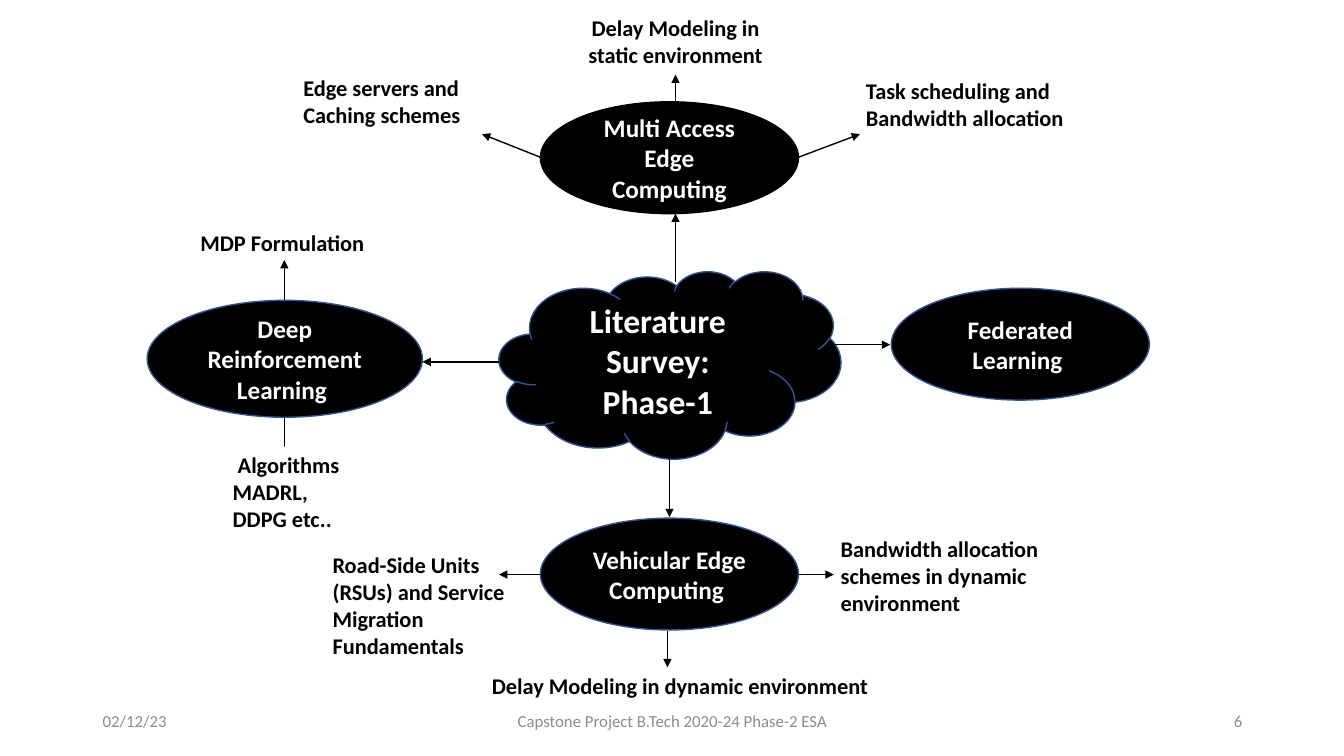
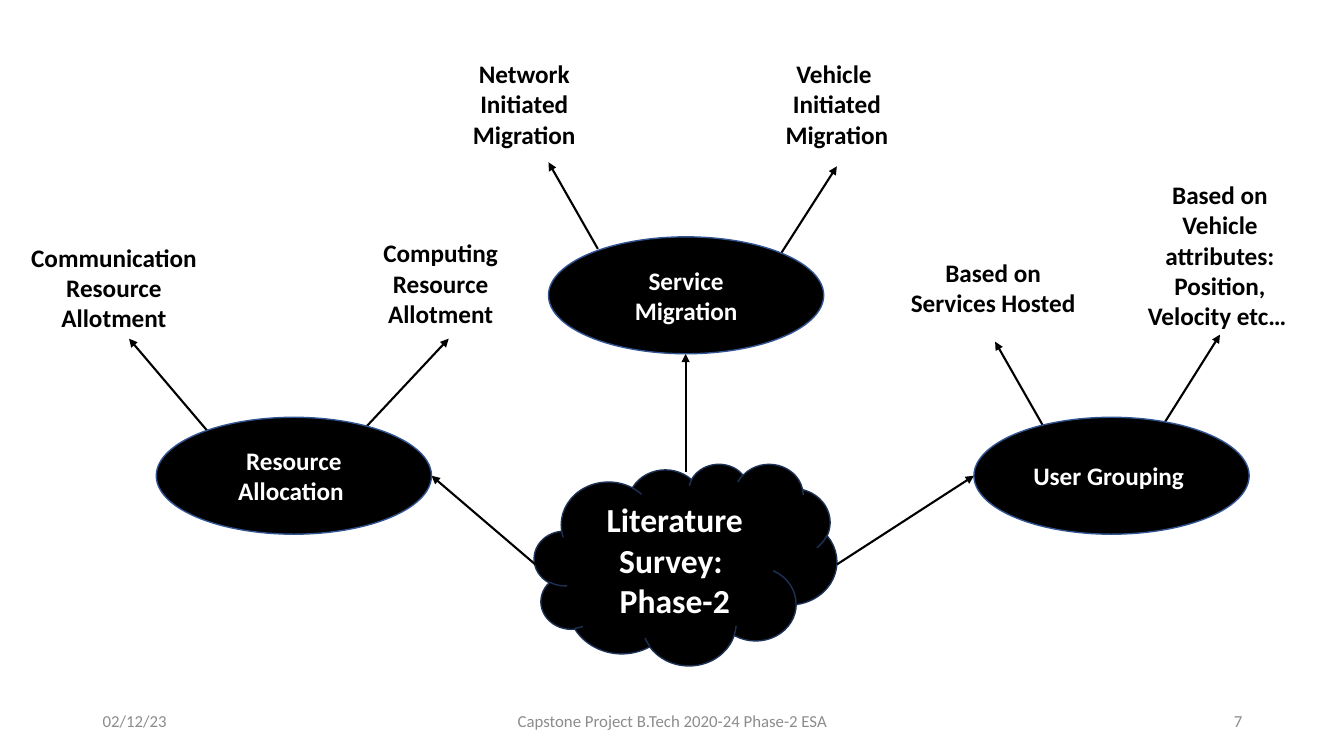
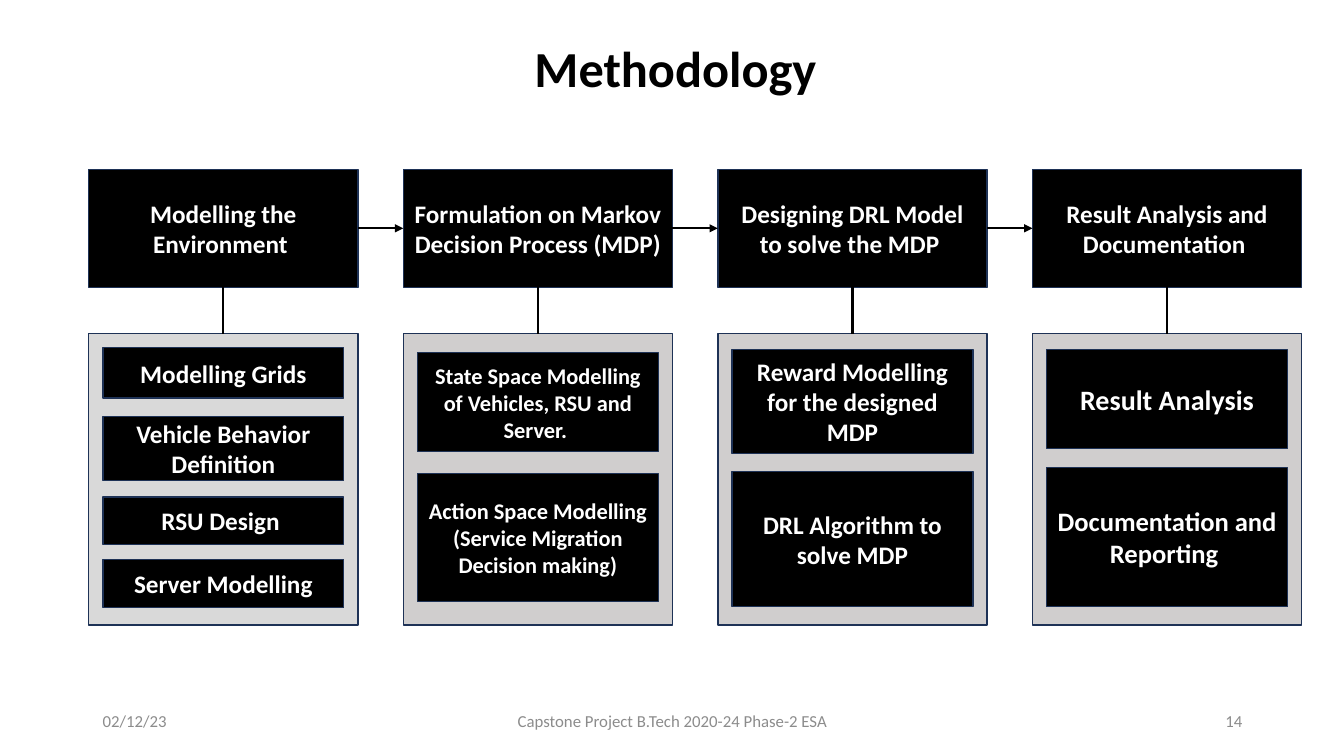
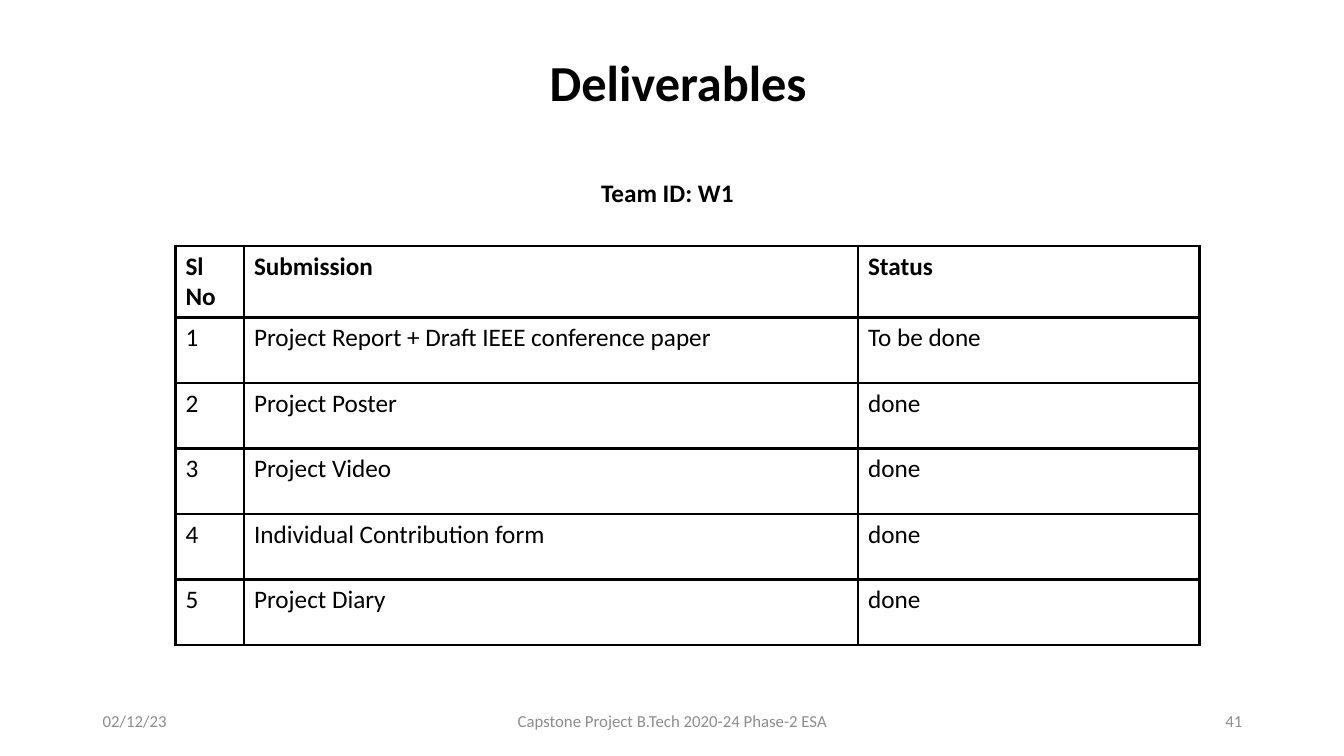
from pptx import Presentation
from pptx.dml.color import RGBColor
from pptx.enum.shapes import MSO_CONNECTOR, MSO_SHAPE
from pptx.enum.text import MSO_ANCHOR, MSO_AUTO_SIZE, PP_ALIGN
from pptx.oxml.ns import qn
from pptx.util import Inches, Pt
from lxml.etree import SubElement

FONT = "Calibri"
BLACK, WHITE, GREY = "000000", "FFFFFF", "8C8C8C"
BLUE, NAVY = "325491", "1E3256"
LEFT, CENTER, RIGHT = PP_ALIGN.LEFT, PP_ALIGN.CENTER, PP_ALIGN.RIGHT
TOP, MIDDLE = MSO_ANCHOR.TOP, MSO_ANCHOR.MIDDLE
DATE, FOOTER = "02/12/23", "Capstone Project B.Tech 2020-24 Phase-2 ESA"

# Mind maps: ovals are (text, box, outline), arrows (x1, y1, x2, y2),
# labels (text, box, alignment)
PHASE_1 = {
    "number": 6, "arrow_width": 1, "label_size": 16,
    "cloud": ("Literature Survey: Phase-1", (4.95, 2.69, 3.39, 1.86), BLUE),
    "ovals": [
        ("Multi Access Edge Computing", (5.36, 1.01, 2.56, 1.11), BLACK),
        ("Vehicular Edge Computing ", (5.36, 5.14, 2.56, 1.11), BLUE),
        ("Federated Learning ", (8.84, 2.86, 2.56, 1.11), BLUE),
        ("Deep Reinforcement Learning ", (1.46, 2.98, 2.73, 1.16), BLUE),
    ],
    "arrows": [
        (8.27, 3.42, 8.83, 3.42), (6.64, 4.55, 6.64, 5.13),
        (4.95, 3.59, 4.19, 3.59), (6.7, 2.8, 6.7, 2.12),
        (7.92, 1.56, 8.53, 1.33), (6.7, 1.01, 6.7, 0.74),
        (5.36, 1.56, 4.78, 1.33), (6.62, 6.26, 6.62, 6.62),
        (7.92, 5.7, 8.27, 5.7), (5.36, 5.7, 4.95, 5.7),
        (2.82, 4.14, 2.82, 4.55), (2.82, 2.98, 2.82, 2.58),
    ],
    "labels": [
        ("Task scheduling and Bandwidth allocation", (8.49, 0.72, 2.32, 0.64), LEFT),
        ("Delay Modeling in static environment", (5.59, 0.09, 2.22, 0.64), CENTER),
        ("Edge servers and Caching schemes", (2.91, 0.69, 2.34, 0.64), LEFT),
        ("Delay Modeling in dynamic environment", (4.78, 6.62, 4.79, 0.37), LEFT),
        ("Bandwidth allocation schemes in dynamic environment",
         (8.24, 5.26, 2.63, 0.91), LEFT),
        ("Road-Side Units (RSUs) and Service Migration Fundamentals",
         (3.2, 5.42, 1.98, 1.18), LEFT),
        ("MDP Formulation ", (1.75, 2.22, 2.15, 0.37), CENTER),
    ],
    "filled_label": (" Algorithms\nMADRL, DDPG etc..", (2.21, 4.43, 1.4, 0.91), LEFT),
}
PHASE_2 = {
    "number": 7, "arrow_width": 1.5, "label_size": 18,
    "cloud": ("Literature Survey: \nPhase-2", (5.3, 4.6, 3, 2), NAVY),
    "ovals": [
        ("Service Migration", (5.44, 2.35, 2.73, 1.16), BLUE),
        ("User Grouping ", (9.66, 4.14, 2.73, 1.16), BLUE),
        ("Resource Allocation ", (1.55, 4.14, 2.73, 1.16), BLUE),
    ],
    "arrows": [
        (5.31, 5.6, 4.28, 4.72), (8.3, 5.6, 9.66, 4.72), (6.8, 4.68, 6.8, 3.51),
        (2.07, 4.29, 1.28, 3.36), (3.58, 4.29, 4.45, 3.36),
        (5.93, 2.47, 5.44, 1.61), (7.73, 2.54, 8.3, 1.65),
        (10.36, 4.25, 9.87, 3.39), (11.54, 4.21, 12.1, 3.32),
    ],
    "labels": [
        ("Communication Resource Allotment", (0.19, 2.35, 1.88, 1.01), CENTER),
        ("Computing Resource Allotment", (3.43, 2.31, 1.88, 1.01), CENTER),
        ("Network Initiated Migration", (4.26, 0.53, 1.88, 1.01), CENTER),
        ("Vehicle \nInitiated Migration", (7.36, 0.53, 1.88, 1.01), CENTER),
        ("Based on Services Hosted ", (8.91, 2.5, 1.88, 0.71), CENTER),
        ("Based on Vehicle attributes: Position, Velocity etc… ",
         (11.16, 1.73, 1.88, 1.62), CENTER),
    ],
}

# (stage, panel fill, [(task, top, height, text size)])
STAGES = [
    ("Modelling the Environment ", "D9D9D9", [
        ("Modelling Grids", 3.45, 0.5, 18),
        ("Vehicle Behavior Definition", 4.13, 0.64, 18),
        ("RSU Design ", 4.93, 0.47, 18),
        ("Server Modelling", 5.55, 0.48, 18)]),
    ("Formulation on Markov Decision Process (MDP)", "D0CECE", [
        ("State Space Modelling of Vehicles, RSU and Server. ", 3.5, 0.98, 16),
        ("Action Space Modelling (Service Migration Decision making)", 4.7, 1.27, 16)]),
    ("Designing DRL Model to solve the MDP ", "D0CECE", [
        ("Reward Modelling for the designed MDP", 3.47, 1.03, 18),
        ("DRL Algorithm to solve MDP", 4.68, 1.34, 18)]),
    ("Result Analysis and Documentation ", "D0CECE", [
        ("Result Analysis", 3.47, 0.98, 20),
        ("Documentation and Reporting ", 4.64, 1.38, 19)]),
]
STAGE_LEFT, STAGE_PITCH, STAGE_WIDTH, TASK_INSET = 0.88, 3.12, 2.67, 0.14

DELIVERABLES = [
    ("Sl No", "Submission", "Status"),
    ("1", "Project Report + Draft IEEE conference paper", "To be done"),
    ("2", "Project Poster", "done"),
    ("3", "Project Video", "done"),
    ("4", "Individual Contribution form", "done"),
    ("5", "Project Diary", "done"),
]
COLUMN_WIDTHS = (0.68, 6.09, 3.39)
HEADER_HEIGHT, ROW_HEIGHT = 0.71, 0.65


def rgb(color):
    return RGBColor.from_string(color)


def inches(box):
    return [Inches(v) for v in box]


def add_run(p, text, size, color=BLACK, bold=True):
    r = p.add_run()
    r.text = text
    r.font.name, r.font.size, r.font.bold = FONT, Pt(size), bold
    r.font.color.rgb = rgb(color)


def write(tf, text, size, color=BLACK, bold=True, align=LEFT, anchor=TOP):
    """Fill a text frame, one paragraph for each line of text."""
    tf.word_wrap = True
    tf.vertical_anchor = anchor
    for i, line in enumerate(text.split("\n")):
        p = tf.add_paragraph() if i else tf.paragraphs[0]
        p.alignment = align
        add_run(p, line, size, color, bold)


def add_label(s, text, box, size, **style):
    tb = s.shapes.add_textbox(*inches(box))
    write(tb.text_frame, text, size, **style)
    return tb


def add_node(s, kind, box, text="", size=18, fill=BLACK, line=NAVY):
    sp = s.shapes.add_shape(kind, *inches(box))
    sp.shadow.inherit = False
    sp.fill.solid()
    sp.fill.fore_color.rgb = rgb(fill)
    sp.line.color.rgb = rgb(line)
    sp.line.width = Pt(1)
    if text:
        write(sp.text_frame, text, size, WHITE, align=CENTER, anchor=MIDDLE)
    return sp


def add_line(s, ends=(0, 0, 0, 0), width=1.5, arrow=True):
    c = s.shapes.add_connector(MSO_CONNECTOR.STRAIGHT, *inches(ends))
    c.line.color.rgb = rgb(BLACK)
    c.line.width = Pt(width)
    if arrow:
        SubElement(c.line._get_or_add_ln(), qn("a:tailEnd"), type="triangle")
    SubElement(c._element.spPr, qn("a:effectLst"))
    return c


def join(s, start, start_side, end, end_side, arrow=True):
    c = add_line(s, arrow=arrow)
    c.begin_connect(start, start_side)
    c.end_connect(end, end_side)


def add_slide(prs, number, title_box=None, title_runs=()):
    """Add a slide with its footer and, where given, its title."""
    s = prs.slides.add_slide(prs.slide_layouts[5 if title_box else 6])
    if title_box:
        title = s.shapes.title
        title.left, title.top, title.width, title.height = inches(title_box)
        tf = title.text_frame
        tf.auto_size = MSO_AUTO_SIZE.NONE
        tf.vertical_anchor = MIDDLE
        p = tf.paragraphs[0]
        p.alignment, p.line_spacing = CENTER, 0.9
        for text, size in title_runs:
            add_run(p, text, size)
    for text, left, width, align in ((DATE, 0.92, 3, LEFT),
                                     (FOOTER, 4.42, 4.5, CENTER),
                                     (str(number), 9.42, 3, RIGHT)):
        add_label(s, text, (left, 6.95, width, 0.4), 12, color=GREY,
                  bold=False, align=align, anchor=MIDDLE)
    return s


def add_mind_map(prs, topic):
    s = add_slide(prs, topic["number"])
    text, box, line = topic["cloud"]
    add_node(s, MSO_SHAPE.CLOUD, box, text, 24, line=line)
    for ends in topic["arrows"]:
        add_line(s, ends, topic["arrow_width"])
    for text, box, line in topic["ovals"]:
        add_node(s, MSO_SHAPE.OVAL, box, text, line=line)
    for text, box, align in topic["labels"]:
        add_label(s, text, box, topic["label_size"], align=align)
    if "filled_label" in topic:
        text, box, align = topic["filled_label"]
        tb = add_label(s, text, box, topic["label_size"], align=align)
        tb.fill.solid()
        tb.fill.fore_color.rgb = rgb(WHITE)


def add_methodology(prs):
    s = add_slide(prs, 14, (0.95, -0.05, 11.5, 1.45),
                  [(" ", 44), ("Methodology", 36), (" ", 44)])
    previous = None
    for i, (stage, fill, tasks) in enumerate(STAGES):
        left = STAGE_LEFT + i * STAGE_PITCH
        head = add_node(s, MSO_SHAPE.RECTANGLE, (left, 1.68, STAGE_WIDTH, 1.17), stage)
        panel = add_node(s, MSO_SHAPE.RECTANGLE, (left, 3.31, STAGE_WIDTH, 2.89), fill=fill)
        join(s, head, 2, panel, 0, arrow=False)
        if previous:
            join(s, previous, 3, head, 1)
        previous = head
        for task, top, height, size in tasks:
            box = (left + TASK_INSET, top, STAGE_WIDTH - 2 * TASK_INSET, height)
            add_node(s, MSO_SHAPE.RECTANGLE, box, task, size)


def add_borders(cell):
    tcPr = cell._tc.get_or_add_tcPr()
    for side in ("a:lnL", "a:lnR", "a:lnT", "a:lnB"):
        ln = SubElement(tcPr, qn(side), w=str(Pt(2.25)))
        SubElement(SubElement(ln, qn("a:solidFill")), qn("a:srgbClr"), val=BLACK)


def add_deliverables(prs):
    s = add_slide(prs, 41, (0.92, 0.12, 11.5, 1.45), [(" Deliverables", 36)])
    add_label(s, "Team ID: W1", (4.42, 1.71, 4.4, 0.4), 18, align=CENTER)
    heights = [HEADER_HEIGHT] + [ROW_HEIGHT] * (len(DELIVERABLES) - 1)
    box = (1.74, 2.44, sum(COLUMN_WIDTHS), sum(heights))
    table = s.shapes.add_table(len(heights), len(COLUMN_WIDTHS), *inches(box)).table
    table.first_row = table.horz_banding = False
    for column, width in zip(table.columns, COLUMN_WIDTHS):
        column.width = Inches(width)
    for i, (row, height) in enumerate(zip(DELIVERABLES, heights)):
        table.rows[i].height = Inches(height)
        for j, text in enumerate(row):
            cell = table.cell(i, j)
            add_borders(cell)
            cell.fill.solid()
            cell.fill.fore_color.rgb = rgb(WHITE)
            add_run(cell.text_frame.paragraphs[0], text, 18, bold=i == 0)


def main():
    prs = Presentation()
    prs.slide_width, prs.slide_height = Inches(13.33), Inches(7.5)
    add_mind_map(prs, PHASE_1)
    add_mind_map(prs, PHASE_2)
    add_methodology(prs)
    add_deliverables(prs)
    prs.save("out.pptx")


if __name__ == "__main__":
    main()
